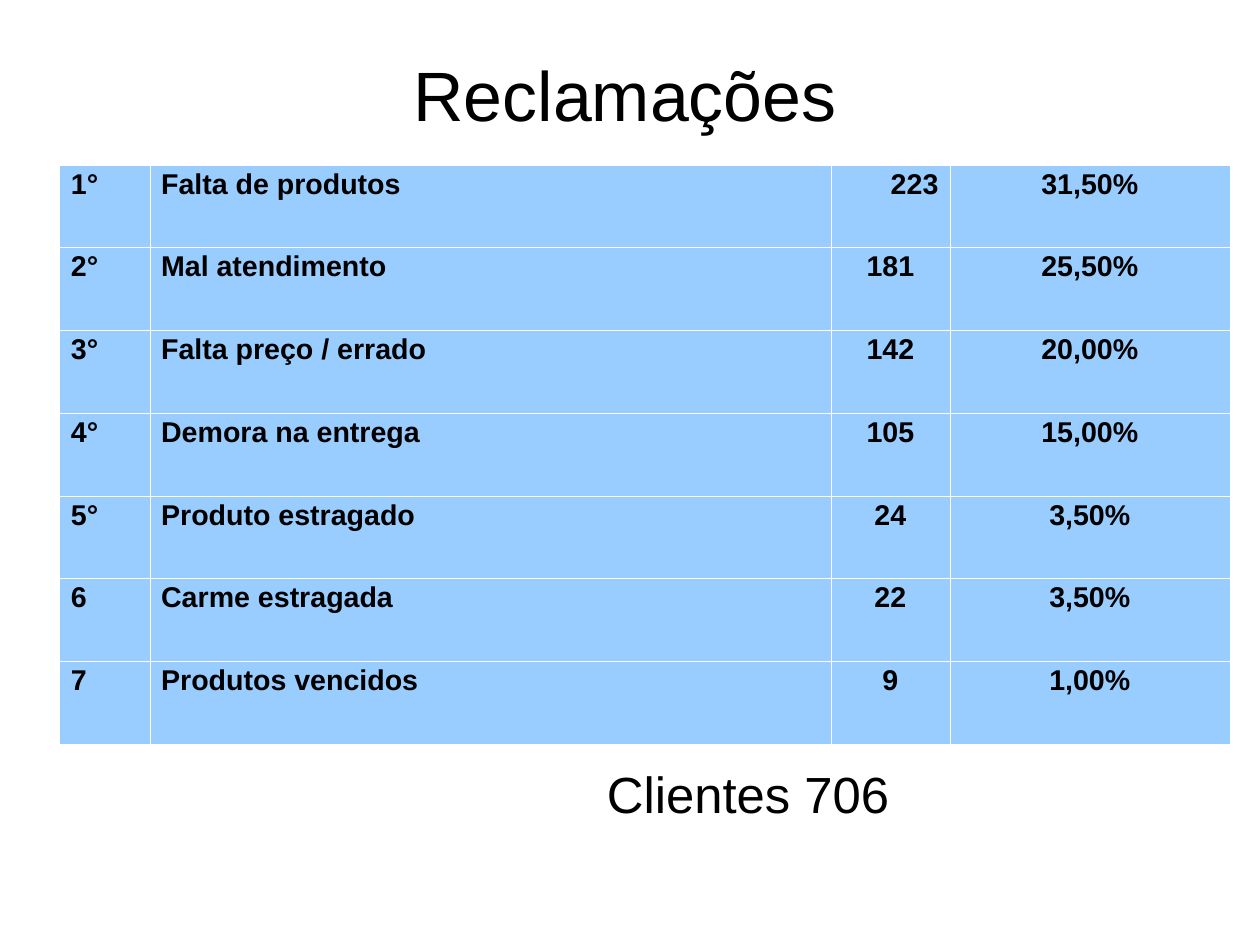
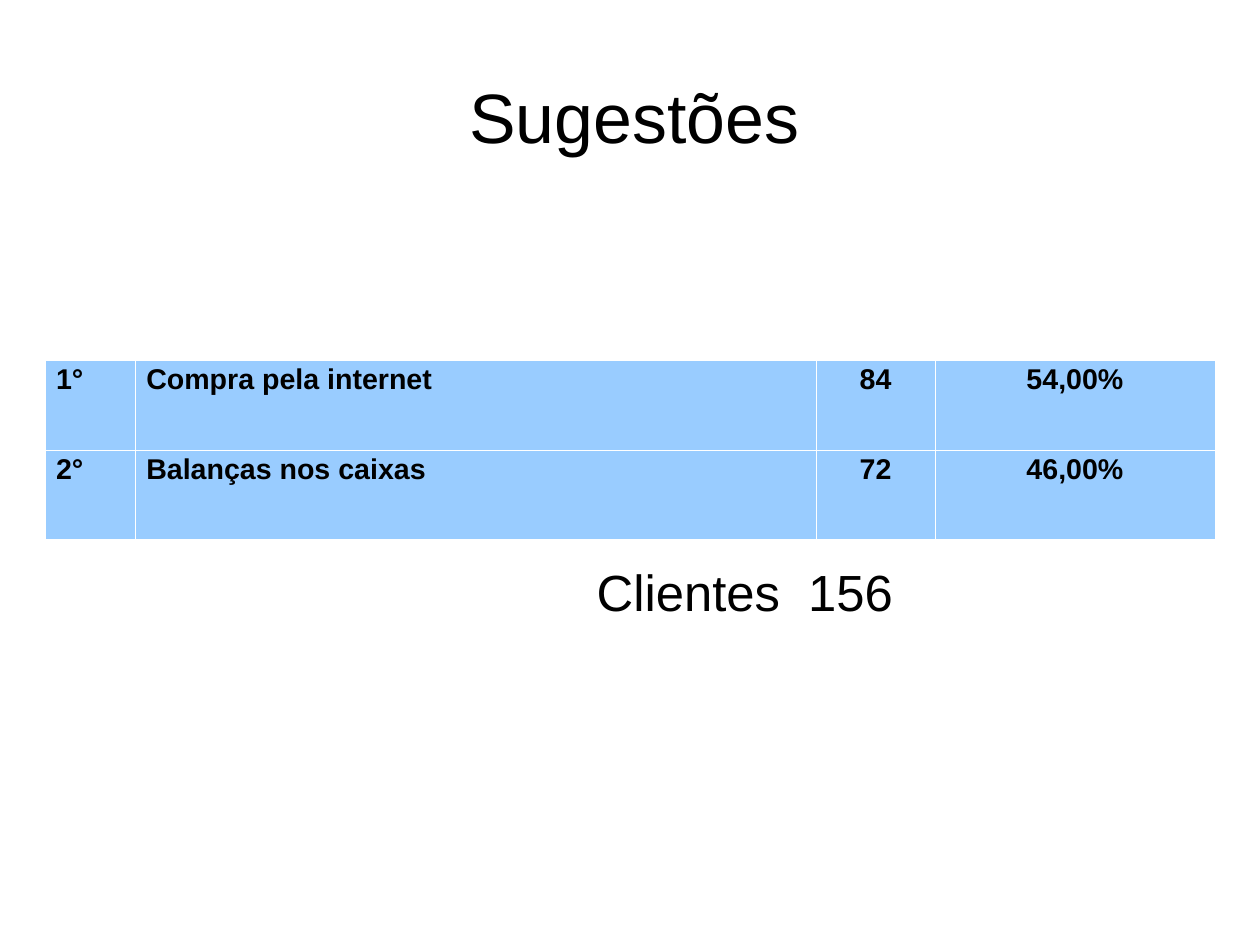
import pptx
import pptx.util
import pptx.dml.color
import pptx.enum.text
import pptx.oxml.ns
import lxml.etree

Inches = pptx.util.Inches
Align = pptx.enum.text.PP_ALIGN
Anchor = pptx.enum.text.MSO_ANCHOR

CM_PER_INCH = 2.54
SLIDE_WIDTH, SLIDE_HEIGHT = 28 / CM_PER_INCH, 21 / CM_PER_INCH
FONT = "Arial"
BLACK, WHITE, SKY = "000000", "FFFFFF", "99CCFF"
LINE_SPACING = 0.93
BORDER_POINTS = 0.06
TITLE_SIZE = (9.92, 1.28)
COLUMN_WIDTHS = (0.79, 5.96, 1.04, 2.45)
COLUMN_ALIGNS = (Align.LEFT, Align.LEFT, Align.CENTER, Align.CENTER)

COMPLAINTS = (
    ("1°", "Falta de produtos", "223", "31,50%"),
    ("2°", "Mal atendimento", "181", "25,50%"),
    ("3°", "Falta preço / errado", "142", "20,00%"),
    ("4°", "Demora na entrega", "105", "15,00%"),
    ("5°", "Produto estragado", "24", "3,50%"),
    ("6", "Carme estragada", "22", "3,50%"),
    ("7", "Produtos vencidos", "9", "1,00%"),
)
SUGGESTIONS = (
    ("1°", "Compra pela internet", "84", "54,00%"),
    ("2°", "Balanças nos caixas", "72", "46,00%"),
)


def color(value):
    """Turn a hex string into a colour."""
    return pptx.dml.color.RGBColor.from_string(value)


def write_text(text_frame, text, size=18, bold=False, align=Align.LEFT):
    """Write one formatted paragraph into a text frame."""
    paragraph = text_frame.paragraphs[0]
    paragraph.alignment = align
    paragraph.line_spacing = LINE_SPACING
    run = paragraph.add_run()
    run.text = text
    run.font.name = FONT
    run.font.size = pptx.util.Pt(size)
    run.font.bold = bold
    run.font.color.rgb = color(BLACK)


def add_text_box(slide, box, text, insets, anchor=Anchor.TOP, **text_format):
    """Place a wrapped text box with insets given as left, top, right, bottom."""
    text_frame = slide.shapes.add_textbox(*map(Inches, box)).text_frame
    text_frame.word_wrap = True
    text_frame.vertical_anchor = anchor
    (text_frame.margin_left, text_frame.margin_top,
     text_frame.margin_right, text_frame.margin_bottom) = map(Inches, insets)
    write_text(text_frame, text, **text_format)


def add_title(slide, corner, text):
    """Place the centred slide title at the given corner."""
    add_text_box(slide, corner + TITLE_SIZE, text, (0, 0.04, 0, 0),
                 Anchor.MIDDLE, size=44, align=Align.CENTER)


def set_borders(cell):
    """Give a cell thin white borders on all sides."""
    properties = cell._tc.get_or_add_tcPr()
    for index, side in enumerate(("lnL", "lnR", "lnT", "lnB")):
        line = lxml.etree.Element(pptx.oxml.ns.qn("a:" + side),
                                  w=str(int(pptx.util.Pt(BORDER_POINTS))))
        fill = lxml.etree.SubElement(line, pptx.oxml.ns.qn("a:solidFill"))
        lxml.etree.SubElement(fill, pptx.oxml.ns.qn("a:srgbClr"), val=WHITE)
        properties.insert(index, line)


def add_ranking(slide, box, rows, aligns):
    """Place the ranking table, with alignment exceptions keyed by row and column."""
    table = slide.shapes.add_table(
        len(rows), len(COLUMN_WIDTHS), *map(Inches, box)).table
    table.first_row = table.horz_banding = False
    for column, width in zip(table.columns, COLUMN_WIDTHS):
        column.width = Inches(width)
    for row_index, values in enumerate(rows):
        table.rows[row_index].height = Inches(box[3] / len(rows))
        for column_index, value in enumerate(values):
            cell = table.cell(row_index, column_index)
            cell.fill.solid()
            cell.fill.fore_color.rgb = color(SKY)
            set_borders(cell)
            align = aligns.get((row_index, column_index), COLUMN_ALIGNS[column_index])
            write_text(cell.text_frame, value, bold=True, align=align)


def add_survey_slide(presentation, title, title_corner, rows, table_box,
                     total, total_box, aligns):
    """Add a slide with a title, a ranking table and the customer total."""
    slide = presentation.slides.add_slide(presentation.slide_layouts[6])
    slide.background.fill.solid()
    slide.background.fill.fore_color.rgb = color(WHITE)
    add_title(slide, title_corner, title)
    add_ranking(slide, table_box, rows, aligns)
    add_text_box(slide, total_box, total, (0.59, 0.03, 0, 0), size=32)


def main():
    """Build and save the presentation."""
    presentation = pptx.Presentation()
    presentation.slide_width = Inches(SLIDE_WIDTH)
    presentation.slide_height = Inches(SLIDE_HEIGHT)
    table_width = sum(COLUMN_WIDTHS)
    add_survey_slide(presentation, "Reclamações", (0.51, 0.2), COMPLAINTS,
                     (0.52, 1.44, table_width, 5.07), "Clientes 706",
                     (4.72, 6.69, 4.53, 0.98), {(0, 2): Align.RIGHT})
    add_survey_slide(presentation, "Sugestões", (0.59, 0.39), SUGGESTIONS,
                     (0.39, 3.15, table_width, 1.57), "Clientes  156",
                     (4.63, 4.92, 3.54, 0.59), {})
    presentation.save("out.pptx")


if __name__ == "__main__":
    main()
